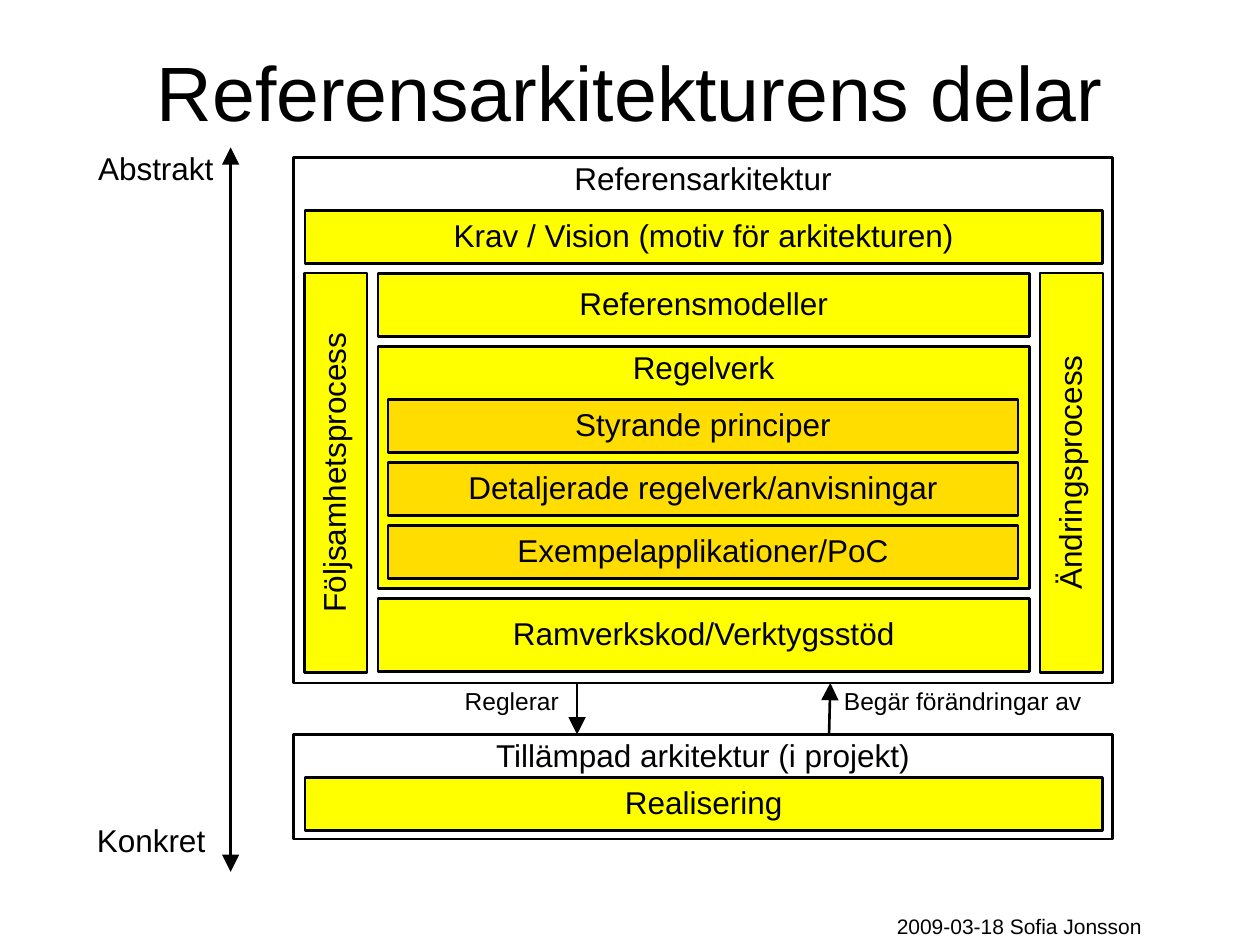
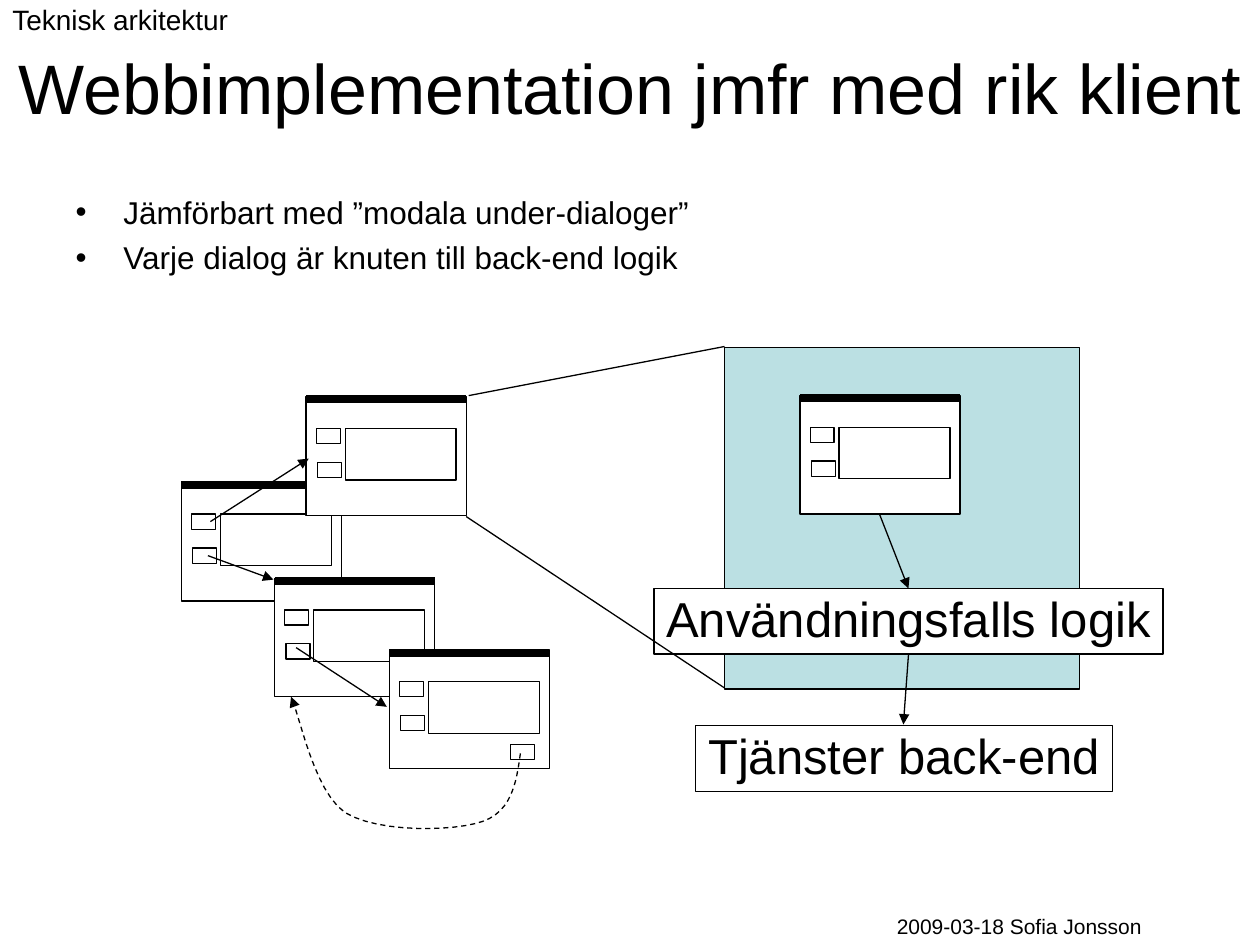
from pptx import Presentation
from pptx.dml.color import RGBColor
from pptx.enum.dml import MSO_LINE_DASH_STYLE as Dash
from pptx.enum.shapes import MSO_CONNECTOR as Conn, MSO_SHAPE as Shape
from pptx.enum.text import MSO_ANCHOR as Anchor, MSO_AUTO_SIZE as Fit, PP_ALIGN as Align
from pptx.oxml.ns import qn
from pptx.util import Inches, Pt
from lxml import etree

BLACK = RGBColor(0, 0, 0)
WHITE = RGBColor(255, 255, 255)
YELLOW = RGBColor(0xFF, 0xFF, 0x00)
AMBER = RGBColor(0xFF, 0xDD, 0x00)
TEAL = RGBColor(0xBB, 0xE0, 0xE3)
FONT = "Arial"


def box(slide, at, text="", size=18, fill=None, line=1.5, kind=Shape.RECTANGLE,
        anchor=Anchor.MIDDLE, align=Align.CENTER, wrap=True):
    """Add a rectangle, or a plain text box when line is 0."""
    pos = [Inches(n) for n in at]
    if line:
        item = slide.shapes.add_shape(kind, *pos)
        item.shadow.inherit = False
        item.line.color.rgb = BLACK
        item.line.width = Pt(line)
        if fill is None:
            item.fill.background()
        else:
            item.fill.solid()
            item.fill.fore_color.rgb = fill
    else:
        item = slide.shapes.add_textbox(*pos)
        anchor = Anchor.TOP
    if text:
        frame = item.text_frame
        frame.text = text
        frame.word_wrap = wrap
        frame.vertical_anchor = anchor
        para = frame.paragraphs[0]
        para.alignment = align
        para.line_spacing = 0.9
        para.font.name = FONT
        para.font.size = Pt(size)
        para.font.color.rgb = BLACK
    return item


def link(slide, start, end, width=0.75, tips=("tailEnd",), head="med"):
    """Add a straight line with a triangle at each named end."""
    ends = [Inches(n) for n in (*start, *end)]
    item = slide.shapes.add_connector(Conn.STRAIGHT, *ends)
    item.line.color.rgb = BLACK
    item.line.width = Pt(width)
    for tip in tips:
        etree.SubElement(item.line._ln, qn("a:" + tip), type="triangle", w=head, len=head)
    etree.SubElement(item._element.spPr, qn("a:effectLst"))


deck = Presentation()
deck.slide_width, deck.slide_height = Inches(10), Inches(7.5)

# Titles and footers
pages = []
for layout, title, size, height in [
    (5, "Referensarkitekturens delar", 44, 0.84),
    (1, "Webbimplementation jmfr med rik klient", 40, 1.25),
]:
    page = deck.slides.add_slide(deck.slide_layouts[layout])
    head = page.shapes.title
    head.left, head.top = Inches(0), Inches(0.3)
    head.width, head.height = Inches(10), Inches(height)
    frame = head.text_frame
    frame.text = title
    frame.auto_size = Fit.NONE
    frame.vertical_anchor = Anchor.TOP
    para = frame.paragraphs[0]
    para.alignment = Align.CENTER
    para.font.name = FONT
    para.font.size = Pt(size)
    para.font.color.rgb = BLACK
    foot = box(page, (6.18, 7.2, 3.82, 0.3), "2009-03-18 Sofia Jonsson", 12, line=0)
    foot.text_frame.paragraphs[0].line_spacing = 1.0
    pages.append(page)
parts, web = pages

# Slide 1: scale from abstract to concrete
link(parts, (1.83, 1.17), (1.83, 6.92), 1.5, ("headEnd", "tailEnd"), "lg")
for left, top, text in [(0.68, 1.17, "Abstrakt"), (0.67, 6.5, "Konkret")]:
    box(parts, (left, top, 1.17, 0.37), text, line=0, align=Align.LEFT)

# Outer frames with their headings
for top, height, text in [
    (1.25, 4.17, "Referensarkitektur"),
    (5.83, 0.83, "Tillämpad arkitektur (i projekt)"),
]:
    box(parts, (2.33, top, 6.5, height))
    box(parts, (2.33, top, 6.5, 0.37), text, line=0)

# Wide bars and the middle column
for left, top, width, height, text in [
    (2.42, 1.67, 6.33, 0.42, "Krav / Vision (motiv för arkitekturen)"),
    (2.42, 6.17, 6.33, 0.42, "Realisering"),
    (3, 2.17, 5.17, 0.5, "Referensmodeller"),
    (3, 4.75, 5.17, 0.58, "Ramverkskod/Verktygsstöd"),
]:
    box(parts, (left, top, width, height), text, fill=YELLOW)

# Rules and their three levels
box(parts, (3, 2.75, 5.17, 1.92), "Regelverk", fill=YELLOW, anchor=Anchor.TOP)
rules = ["Styrande principer", "Detaljerade regelverk/anvisningar",
         "Exempelapplikationer/PoC"]
for row, text in enumerate(rules):
    box(parts, (3.08, 3.17 + 0.5 * row, 5, 0.42), text, fill=AMBER)

# Processes on both sides
for left, text in [(1.08, "Följsamhetsprocess"), (6.92, "Ändringsprocess")]:
    box(parts, (left, 3.5, 3.17, 0.5), text, fill=YELLOW).rotation = 270

# Arrows between the frames
link(parts, (4.58, 5.42), (4.58, 5.83), 1.5, head="lg")
link(parts, (6.58, 5.83), (6.59, 5.42), 1.5, head="lg")
for left, width, text in [(3.59, 1, "Reglerar"), (6.6, 2.2, "Begär förändringar av")]:
    box(parts, (left, 5.42, width, 0.31), text, 14, line=0, align=Align.LEFT)

# Slide 2: section label and bullets
box(web, (0, 0, 2, 0.34), "Teknisk arkitektur", 16, line=0, align=Align.LEFT)
body = web.placeholders[1]
body.left, body.top = Inches(0.5), Inches(1.48)
body.width, body.height = Inches(6.11), Inches(5.19)
frame = body.text_frame
frame.text = "Jämförbart med ”modala under-dialoger”\nVarje dialog är knuten till back-end logik"
frame.auto_size = Fit.NONE
for row, para in enumerate(frame.paragraphs):
    props = para._p.get_or_add_pPr()
    props.set("marL", str(Inches(0.38)))
    props.set("indent", str(-Inches(0.38)))
    etree.SubElement(props, qn("a:buChar"), char="•")
    para.space_before = Pt(4.5 * row)
    para.font.name = FONT
    para.font.size = Pt(18)
    para.font.color.rgb = BLACK

# Dialog windows, the last one on the enlarged panel
box(web, (5.75, 2.76, 2.82, 2.71), fill=TEAL, line=0.75)
for left, top in [(1.44, 3.83), (2.18, 4.59), (2.43, 3.15), (3.09, 5.16), (6.35, 3.14)]:
    box(web, (left, top, 1.27, 0.94), fill=WHITE, line=0.75, kind=Shape.FLOWCHART_PROCESS)
    link(web, (left, top + 0.02), (left + 1.27, top + 0.02), 4.5, ())
    for dx, dy, width, height in [
        (0.08, 0.25, 0.19, 0.12), (0.09, 0.52, 0.19, 0.12), (0.31, 0.25, 0.88, 0.41),
    ]:
        box(web, (left + dx, top + dy, width, height), line=0.75)
box(web, (4.05, 5.91, 0.19, 0.12), line=0.75)

# Dashed way back, sampled along three Bezier curves
curves = [
    ((4.13, 5.98), (4.1, 6.21), (4.06, 6.44), (3.83, 6.52)),
    ((3.83, 6.52), (3.6, 6.6), (3, 6.61), (2.74, 6.45)),
    ((2.74, 6.45), (2.49, 6.28), (2.38, 5.68), (2.31, 5.53)),
]
dots = []
for curve in curves:
    for step in range(1, 13):
        t = step / 12
        mix = ((1 - t) ** 3, 3 * t * (1 - t) ** 2, 3 * t * t * (1 - t), t ** 3)
        dots.append([Inches(sum(m * p[k] for m, p in zip(mix, curve))) for k in (0, 1)])
pen = web.shapes.build_freeform(Inches(4.13), Inches(5.98))
pen.add_line_segments(dots, close=False)
back = pen.convert_to_shape()
back.shadow.inherit = False
back.fill.background()
back.line.color.rgb = BLACK
back.line.width = Pt(0.75)
back.line.dash_style = Dash.DASH
etree.SubElement(back.line._ln, qn("a:tailEnd"), type="triangle")

# Logic and services
for left, top, width, text in [
    (5.19, 4.67, 4.04, "Användningsfalls logik"),
    (5.52, 5.76, 3.31, "Tjänster back-end"),
]:
    box(web, (left, top, width, 0.52), text, 28, WHITE, 0.75, wrap=False)

# Arrows between windows and down to the services
for start, end in [
    ((1.65, 4.41), (2.17, 4.6)),
    ((1.67, 4.14), (2.45, 3.64)),
    ((2.35, 5.14), (3.07, 5.61)),
    ((6.98, 4.08), (7.21, 4.67)),
    ((7.21, 5.2), (7.17, 5.75)),
]:
    link(web, start, end)

# Zoom lines
link(web, (3.72, 3.14), (5.75, 2.75), tips=())
link(web, (3.7, 4.1), (5.75, 5.46), tips=())

deck.save("out.pptx")
